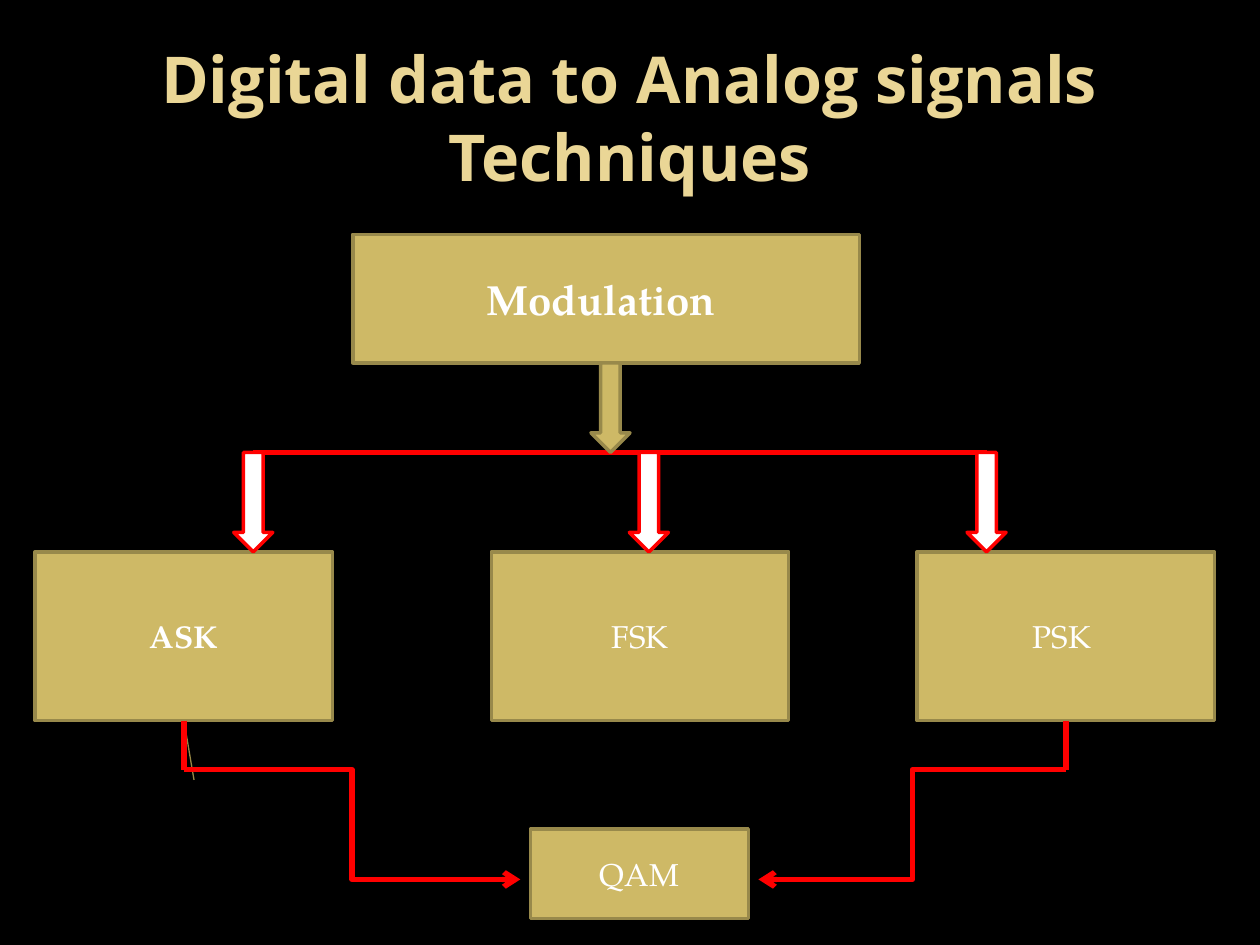
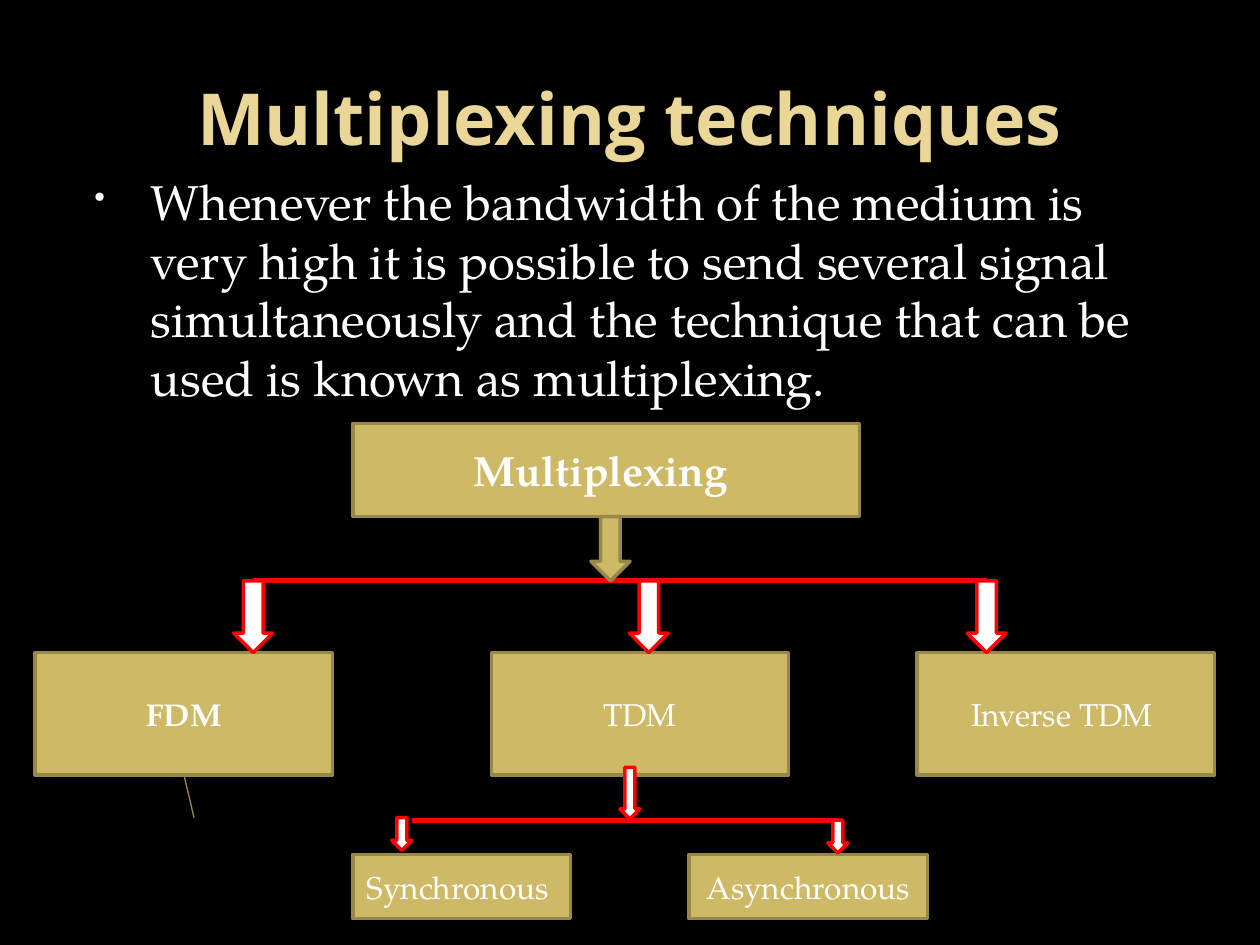
from lxml import etree
from pptx import Presentation
from pptx import util as u
from pptx.dml.color import RGBColor
from pptx.enum import shapes, text
from pptx.oxml.ns import qn

TITLE_FONT, BODY_FONT = "Open Sans", "TeX Gyre Pagella"
BLACK, WHITE, RED = "000000", "FFFFFF", "FF0000"
CREAM, GOLD, GOLD_EDGE, THIN_GOLD = "EAD696", "CEB966", "98894B", "998946"
BULLET = "F9F9F9"

# Shared tree columns: left edge and arrow centre of each branch
ROOT_LEFT, ROOT_W, ROOT_ARROW_X = 2.8, 4.02, 4.845
BRANCH_W = 2.36
BRANCH_LEFTS = (0.28, 3.9, 7.28)
BRANCH_ARROWS = (2.01, 5.15, 7.83)

MODULATION = dict(
    title="Digital data to Analog signals Techniques", title_size=36.9,
    root="Modulation ", branches=("ASK", "FSK", "PSK "),
    root_top=1.86, root_h=1.02, bus_y=3.59, branch_top=4.38, branch_h=1.34,
    tick_y=6.19)
MULTIPLEXING = dict(
    title="Multiplexing techniques", title_size=41,
    root="Multiplexing ", branches=("FDM", "TDM", "Inverse TDM "),
    root_top=3.36, root_h=0.74, bus_y=4.61, branch_top=5.18, branch_h=0.97,
    tick_y=6.49)
INTRO = ("Whenever the bandwidth of the medium is very high it is possible to "
         "send several signal simultaneously and the technique that can be "
         "used is known as multiplexing.")

QAM_BOX = (4.21, 6.58, 1.73, 0.71)
QAM_Y, ELBOW_Y = 6.98, 6.11
QAM_ENDS = (4.13, 6.02)

TDM_KINDS = [("Synchronous ", (2.8, 6.78, 1.73, 0.51)),
             ("Asynchronous", (5.47, 6.78, 1.89, 0.51))]
TDM_BUS = (3.27, 6.51, 6.65, 6.51)
TDM_ARROWS = [(5, 6.09, 0.41), (3.19, 6.49, 0.26), (6.65, 6.51, 0.26)]


def color(value):
    return RGBColor.from_string(value)


def inches(*values):
    return [u.Inches(v) for v in values]


def write(tf, content, size=18, font=BODY_FONT, fill=WHITE, bold=False,
          align=text.PP_ALIGN.CENTER, anchor=text.MSO_ANCHOR.MIDDLE):
    tf.word_wrap = True
    tf.auto_size = text.MSO_AUTO_SIZE.NONE
    tf.vertical_anchor = anchor
    p = tf.paragraphs[0]
    p.alignment = align
    r = p.add_run()
    r.text = content
    r.font.size, r.font.name, r.font.bold = u.Pt(size), font, bold
    r.font.color.rgb = color(fill)
    return p


def add_block(s, kind, at, fill=GOLD, edge=GOLD_EDGE):
    sp = s.shapes.add_shape(kind, *inches(*at))
    sp.shadow.inherit = False
    sp.fill.solid()
    sp.fill.fore_color.rgb = color(fill)
    sp.line.color.rgb = color(edge)
    sp.line.width = u.Pt(2)
    return sp


def add_box(s, label, at, **style):
    sp = add_block(s, shapes.MSO_SHAPE.RECTANGLE, at)
    write(sp.text_frame, label, **style)
    return sp


def add_arrow(s, center, top, height, width=0.31, fill=WHITE, edge=RED):
    return add_block(s, shapes.MSO_SHAPE.DOWN_ARROW,
                     (center - width / 2, top, width, height), fill, edge)


def add_line(s, x1, y1, x2, y2, edge=RED, width=3, start=None,
             kind=shapes.MSO_CONNECTOR.STRAIGHT, arrow=False):
    """Draw a connector; start is a box whose bottom side it leaves."""
    cx = s.shapes.add_connector(kind, *inches(x1, y1, x2, y2))
    cx.line.color.rgb = color(edge)
    cx.line.width = u.Pt(width)
    if start is not None:
        cx.begin_connect(start, 2)
    if arrow:
        etree.SubElement(cx.line._get_or_add_ln(), qn("a:tailEnd"), type="arrow")
    etree.SubElement(cx._element.spPr, qn("a:effectLst"))


def add_bullet_text(s, content, at):
    tf = s.shapes.add_textbox(*inches(*at)).text_frame
    p = write(tf, content, size=28, align=text.PP_ALIGN.LEFT,
              anchor=text.MSO_ANCHOR.TOP)
    p.space_before = u.Pt(5.6)
    pPr = p._p.get_or_add_pPr()
    pPr.set("marL", str(u.Inches(0.6)))
    pPr.set("indent", str(u.Inches(-0.45)))
    bullet_color = etree.SubElement(pPr, qn("a:buClr"))
    etree.SubElement(bullet_color, qn("a:srgbClr"), val=BULLET)
    etree.SubElement(pPr, qn("a:buSzPct"), val="65000")
    etree.SubElement(pPr, qn("a:buChar"), char="•")


def add_titled_slide(prs, title, size):
    s = prs.slides.add_slide(prs.slide_layouts[5])
    sp = s.shapes.title
    sp.left, sp.top, sp.width, sp.height = inches(0.5, 0.3, 9, 1.25)
    write(sp.text_frame, title, size=size, font=TITLE_FONT, fill=CREAM, bold=True)
    return s


def add_tree(s, d):
    """Draw the root, its bus and three branches; return the branch boxes."""
    root_bottom = d["root_top"] + d["root_h"]
    bus_y, top, height = d["bus_y"], d["branch_top"], d["branch_h"]
    add_box(s, d["root"], (ROOT_LEFT, d["root_top"], ROOT_W, d["root_h"]),
            size=24, bold=True)
    boxes = [add_box(s, label, (left, top, BRANCH_W, height), bold=i == 0)
             for i, (label, left) in enumerate(zip(d["branches"], BRANCH_LEFTS))]
    add_line(s, BRANCH_ARROWS[0], bus_y, BRANCH_ARROWS[-1], bus_y)
    add_arrow(s, ROOT_ARROW_X, root_bottom, bus_y - root_bottom,
              fill=GOLD, edge=GOLD_EDGE)
    for x in BRANCH_ARROWS:
        add_arrow(s, x, bus_y, top - bus_y)
    add_line(s, 1.46, top + height, 1.54, d["tick_y"], edge=THIN_GOLD,
             width=0.75, start=boxes[0])
    return boxes


def add_modulation_slide(prs):
    d = MODULATION
    s = add_titled_slide(prs, d["title"], d["title_size"])
    ask, _, psk = add_tree(s, d)
    add_box(s, "QAM", QAM_BOX)
    bottom = d["branch_top"] + d["branch_h"]
    for box, left, end in zip((ask, psk), BRANCH_LEFTS[::2], QAM_ENDS):
        x = left + BRANCH_W / 2
        add_line(s, x, bottom, x, ELBOW_Y, start=box)
        add_line(s, x, ELBOW_Y, end, QAM_Y, arrow=True,
                 kind=shapes.MSO_CONNECTOR.ELBOW)


def add_multiplexing_slide(prs):
    d = MULTIPLEXING
    s = add_titled_slide(prs, d["title"], d["title_size"])
    add_bullet_text(s, INTRO, (0.5, 1.31, 9, 5.59))
    add_tree(s, d)
    for label, at in TDM_KINDS:
        add_box(s, label, at)
    add_line(s, *TDM_BUS)
    for center, top, height in TDM_ARROWS:
        add_arrow(s, center, top, height, width=0.16)


def main():
    prs = Presentation()
    prs.slide_width, prs.slide_height = inches(10, 7.5)
    background = prs.slide_master.background.fill
    background.solid()
    background.fore_color.rgb = color(BLACK)
    add_modulation_slide(prs)
    add_multiplexing_slide(prs)
    prs.save("out.pptx")


if __name__ == "__main__":
    main()
